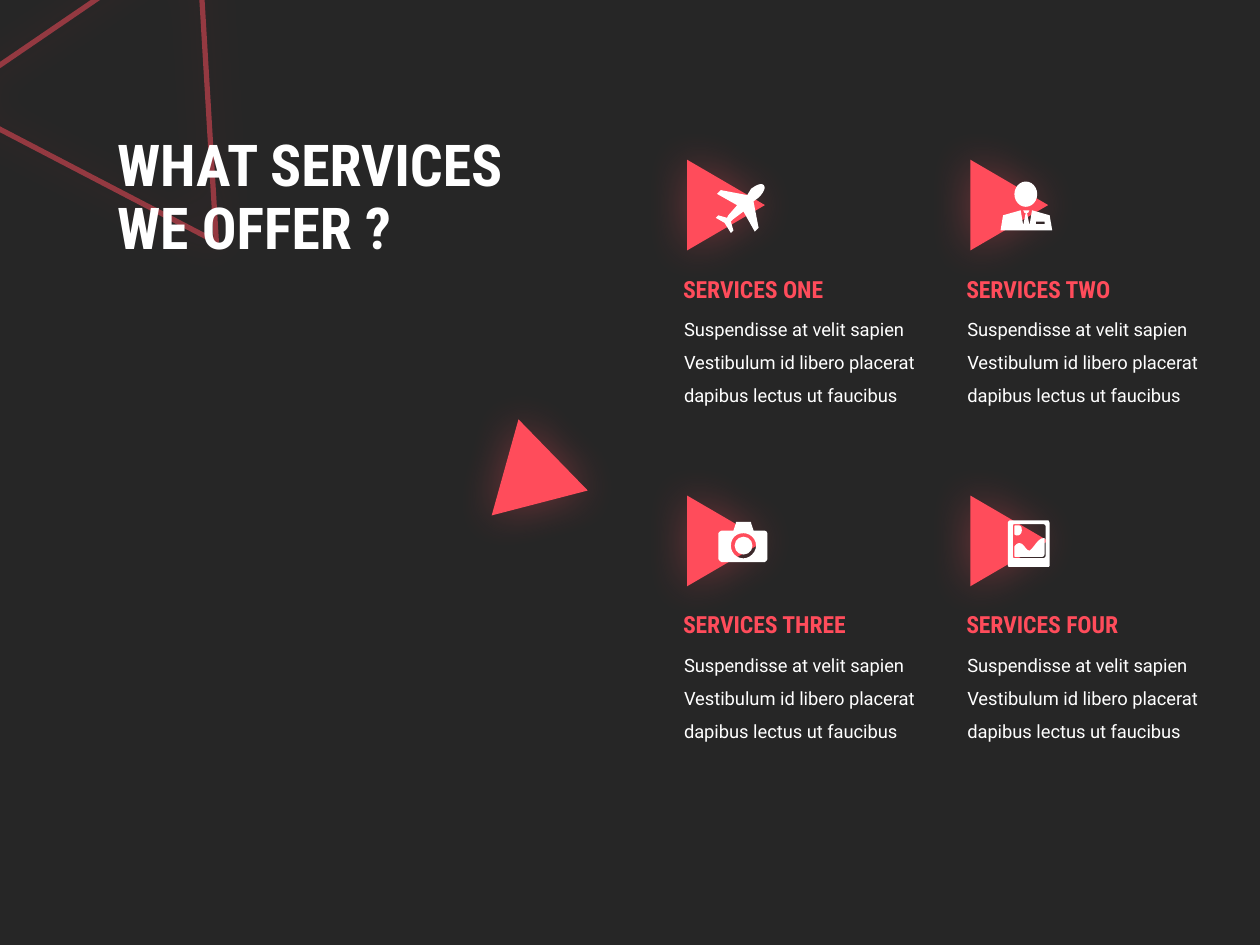
from itertools import product

from lxml.etree import SubElement
from pptx import Presentation
from pptx.dml.color import RGBColor
from pptx.enum.shapes import MSO_SHAPE
from pptx.enum.text import MSO_ANCHOR, MSO_AUTO_SIZE
from pptx.oxml.ns import qn
from pptx.util import Cm, Pt

DARK = RGBColor(0x26, 0x26, 0x26)
CORAL = RGBColor(0xFF, 0x4C, 0x5B)
WHITE = RGBColor(0xFF, 0xFF, 0xFF)

UNIT = Cm(2.54) / 100
STEPS = 6

TITLE = {"name": "Roboto Condensed", "size": Pt(33), "bold": True}
HEAD = {"name": "Roboto Condensed", "size": Pt(13.5), "bold": True}
BODY = {"name": "Roboto", "size": Pt(10.5), "bold": False}

NAMES = ["SERVICES ONE", "SERVICES TWO", "SERVICES THREE", "SERVICES FOUR"]
BLURB = ("Suspendisse at velit sapien Vestibulum id libero placerat "
         "dapibus lectus ut faucibus")

PLANE = [[(38, 2), (36, 0, 32, 2, 28, 5), (25, 10), (4, 6), (1, 9), (17, 18),
          (10, 26), (9, 28), (2, 26), (0, 28), (7, 32), (12, 40), (14, 38),
          (12, 31), (14, 29), (22, 23), (31, 39), (34, 36), (30, 15),
          (34, 12), (38, 8, 40, 4, 38, 2)]]
SUIT = [[(39, 4), (25, 0), (23, 12), (21, 2), (22, 2), (23, 0), (18, 0),
         (19, 2), (20, 2), (18, 12), (16, 0), (2, 4), (0, 16), (41, 16)],
        [(35, 11), (28, 11), (28, 9), (35, 9)]]
CAMERA = [[(36, 7), (28, 7), (26, 1), (26, 0, 26, 0, 25, 0), (15, 0),
           (14, 0, 14, 0, 14, 1), (12, 7), (3, 7), (2, 7, 0, 8, 0, 10),
           (0, 29), (0, 30, 2, 32, 3, 32), (36, 32), (38, 32, 39, 30, 39, 29),
           (39, 10), (39, 8, 38, 7, 36, 7)],
          [(20, 29), (14, 29, 10, 24, 10, 19), (10, 13, 14, 9, 20, 9),
           (25, 9, 30, 13, 30, 19), (30, 24, 25, 29, 20, 29)]]
HILLS = [[(29, 14), (24, 13, 20, 23, 17, 24), (14, 24, 13, 18, 9, 18),
          (8, 18, 6, 19, 5, 21), (5, 27), (5, 28, 5, 29, 6, 29), (27, 29),
          (28, 29, 29, 28, 29, 27)]]
SUN = [[(11, 8), (11, 6, 11, 5, 9, 4), (6, 4), (5, 4, 5, 5, 5, 6), (5, 11),
        (5, 11, 6, 12, 7, 12), (10, 12, 11, 10, 11, 8)]]
FRAME = [[(32, 0), (2, 0), (1, 0, 0, 1, 0, 2), (0, 36), (0, 37, 1, 37, 2, 37),
          (32, 37), (32, 37, 33, 37, 33, 36), (33, 2), (33, 1, 32, 0, 32, 0)],
         [(30, 14), (30, 28), (30, 29, 29, 30, 28, 30), (5, 30),
          (4, 30, 4, 29, 4, 28), (4, 5), (4, 4, 4, 3, 5, 3), (28, 3),
          (29, 3, 30, 4, 30, 5)]]
ICONS = [(PLANE, 14.43, 3.68), (SUIT, 20.17, 4.24), (CAMERA, 14.48, 10.52),
         (HILLS, 20.32, 10.49), (SUN, 20.32, 10.49), (FRAME, 20.32, 10.49)]
DISCS = [(20.45, 3.66, 0.46, 0.51), (14.81, 10.82, 0.36, 0.36)]


def trace(path):
    """Turn corners and cubic curves into a list of points in EMU."""
    pts = []
    for seg in path:
        if len(seg) == 2:
            pts.append(seg)
            continue
        ctrl = [pts[-1], seg[:2], seg[2:4], seg[4:]]
        for step in range(1, STEPS + 1):
            t = step / STEPS
            mix = ((1 - t) ** 3, 3 * t * (1 - t) ** 2, 3 * t * t * (1 - t), t ** 3)
            pts.append(tuple(sum(w * p[axis] for w, p in zip(mix, ctrl))
                             for axis in (0, 1)))
    return [(x * UNIT, y * UNIT) for x, y in pts]


def paint(shape, color):
    """Give a shape a plain fill with no line and no shadow."""
    shape.shadow.inherit = False
    shape.fill.solid()
    shape.fill.fore_color.rgb = color
    shape.line.fill.background()


def add_icon(slide, paths, left, top):
    """Draw a white outline made of one or more closed paths."""
    first, *rest = [trace(path) for path in paths]
    pen = slide.shapes.build_freeform(*first[0], scale=1.0)
    pen.add_line_segments(first[1:], close=True)
    for pts in rest:
        pen.move_to(*pts[0])
        pen.add_line_segments(pts[1:], close=True)
    paint(pen.convert_to_shape(Cm(left), Cm(top)), WHITE)


def add_disc(slide, box):
    """Draw a white ellipse."""
    paint(slide.shapes.add_shape(MSO_SHAPE.OVAL, *map(Cm, box)), WHITE)


def add_glow(shape):
    """Put a soft coral halo around a shape."""
    halo = SubElement(shape.element.spPr.find(qn("a:effectLst")),
                      qn("a:outerShdw"), blurRad=str(Pt(25)), dist="0",
                      dir="0", algn="ctr", rotWithShape="0")
    tint = SubElement(halo, qn("a:srgbClr"), val=str(CORAL))
    SubElement(tint, qn("a:alpha"), val="35000")


def add_wedge(slide, box, turn, hollow=False):
    """Draw a glowing triangle, filled or as a half-clear outline."""
    shape = slide.shapes.add_shape(MSO_SHAPE.ISOSCELES_TRIANGLE, *map(Cm, box))
    shape.rotation = turn
    paint(shape, CORAL)
    if hollow:
        shape.fill.background()
        shape.line.color.rgb = CORAL
        shape.line.width = Pt(3)
        tint = shape.element.spPr.find(qn("a:ln")).find(".//" + qn("a:srgbClr"))
        SubElement(tint, qn("a:alpha"), val="50000")
    add_glow(shape)


def add_text(slide, box, text, style, color, space=1.0, anchor=MSO_ANCHOR.TOP,
             fit=MSO_AUTO_SIZE.SHAPE_TO_FIT_TEXT):
    """Add a wrapped text box with one styled paragraph."""
    frame = slide.shapes.add_textbox(*map(Cm, box)).text_frame
    traits = {"word_wrap": True, "auto_size": fit, "vertical_anchor": anchor}
    for key, value in traits.items():
        setattr(frame, key, value)
    para = frame.paragraphs[0]
    para.text = text
    para.line_spacing = space
    for run in para.runs:
        for key, value in style.items():
            setattr(run.font, key, value)
        run.font.color.rgb = color


def add_card(slide, name, left, top):
    """Add a service: its triangle, blurb and heading."""
    add_wedge(slide, (left, top, 1.83, 1.57), 90)
    add_text(slide, (left - 0.18, top + 2.72, 5.36, 2.21), BLURB, BODY, WHITE, 1.5)
    add_text(slide, (left - 0.2, top + 2.06, 4.67, 0.84), name, HEAD, CORAL)


def main():
    """Build the services slide and save it."""
    deck = Presentation()
    deck.slide_width, deck.slide_height = Cm(25.4), Cm(19.05)
    slide = deck.slides.add_slide(deck.slide_layouts[6])
    slide.background.fill.solid()
    slide.background.fill.fore_color.rgb = DARK

    add_wedge(slide, (-1.6, -0.74, 6.3, 5.26), 266.6, hollow=True)
    add_text(slide, (2.11, 2.01, 10.72, 4.01), "WHAT SERVICES\vWE OFFER ?",
             TITLE, WHITE, 0.9, MSO_ANCHOR.MIDDLE, MSO_AUTO_SIZE.NONE)
    for name, (row, col) in zip(NAMES, product(range(2), repeat=2)):
        add_card(slide, name, 13.72 + 5.71 * col, 3.35 + 6.77 * row)
    for paths, left, top in ICONS:
        add_icon(slide, paths, left, top)
    for box in DISCS:
        add_disc(slide, box)
    add_wedge(slide, (10.01, 8.79, 2.01, 1.73), 105.6)

    deck.save("out.pptx")


if __name__ == "__main__":
    main()
